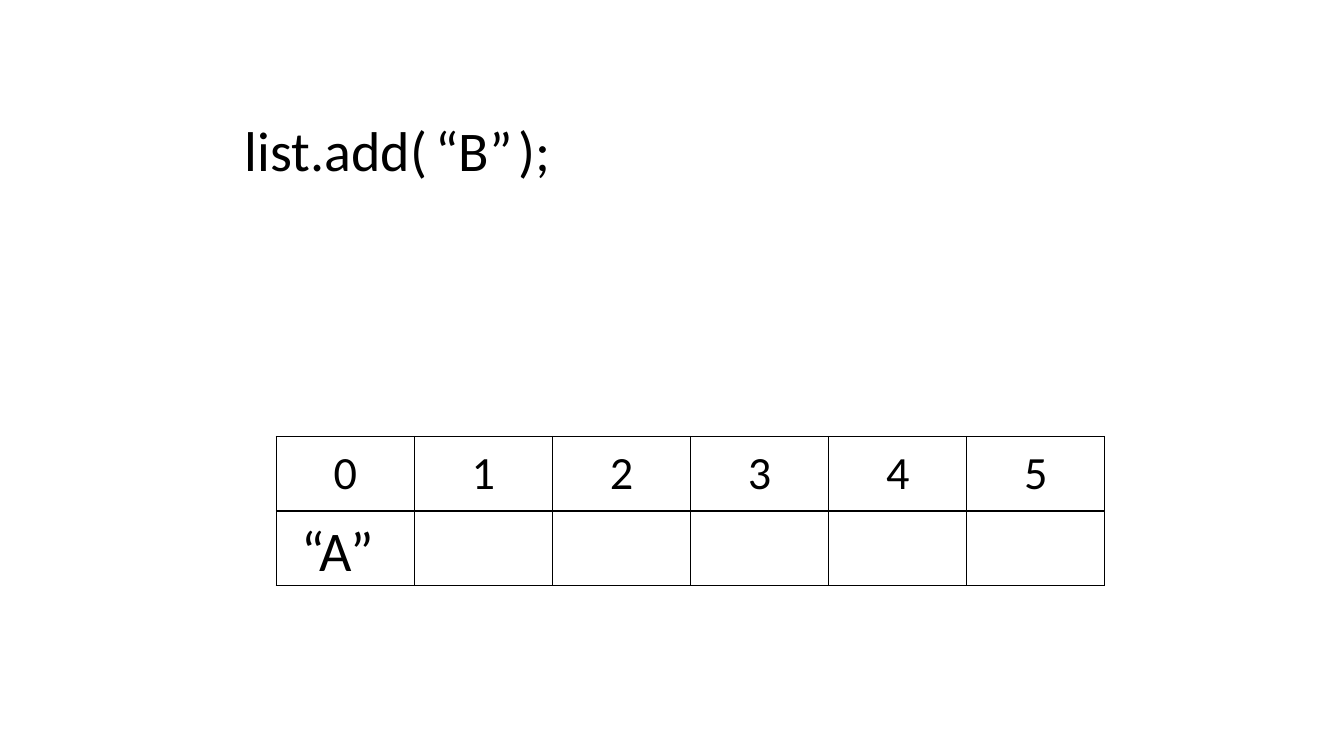
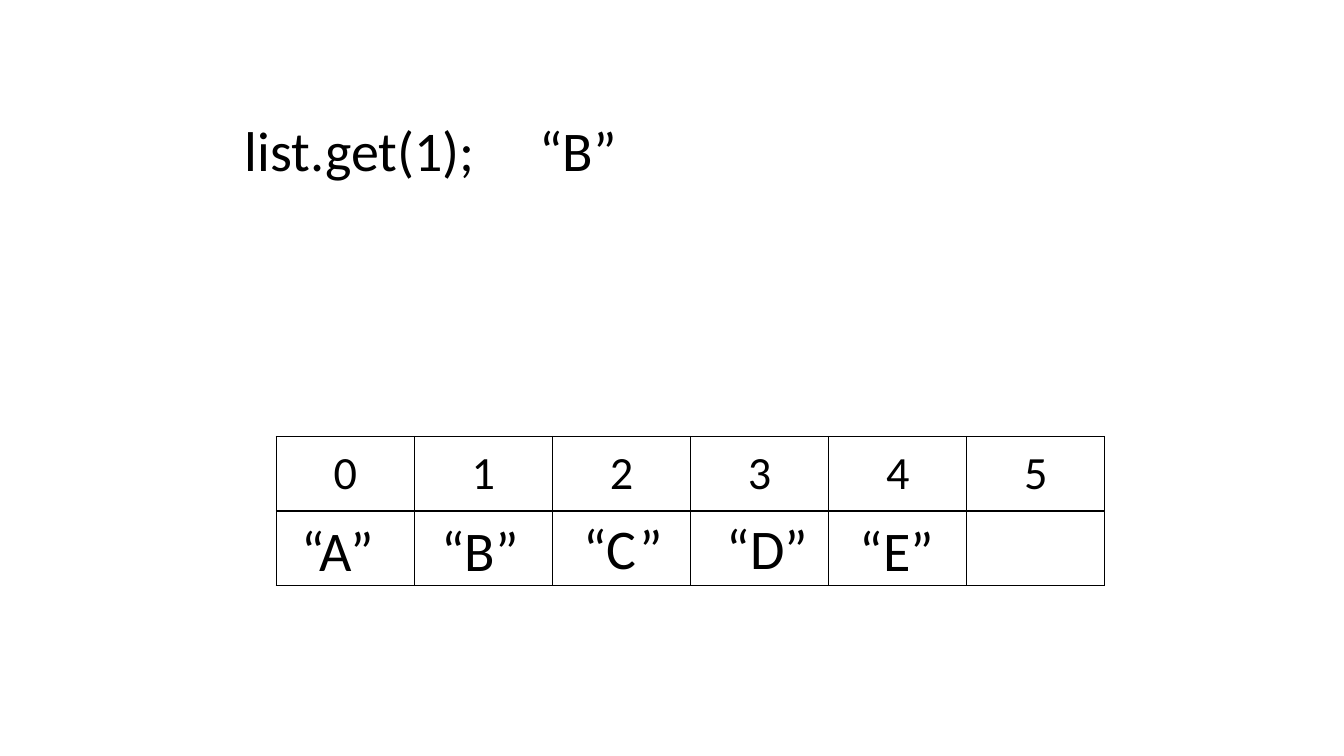
"""Two slides that show list calls above an indexed table of six slots."""
from pptx import Presentation
from pptx.dml.color import RGBColor
from pptx.enum.text import MSO_ANCHOR as Anchor, MSO_AUTO_SIZE as Fit, PP_ALIGN as Align
from pptx.oxml import parse_xml
from pptx.oxml.ns import nsdecls
from pptx.util import Inches, Pt

INK = RGBColor(0, 0, 0)
FONT = "Calibri"
COLS, COL, ROW = 6, 1.37, 0.74
LEFT, TOP = 2.74, 4.33
HIGH = 0.77

PAGES = [
    ("list.add(\t“B”\t);", (1.89, 2.71), [("“A”", 0.15, 0, 0.93)]),
    ("list.get(1);\t“B”", (2.92,), [
        ("“A”", 0.15, 0, 0.93),
        ("“B”", 0.17, 0, 0.98),
        ("“C”", 0.21, -0.02, 1),
        ("“D”", 0.26, -0.02, 1.02),
        ("“E”", 0.21, 0, 0.95),
    ]),
]


def put(frame, text, size=40, align=Align.LEFT, tabs=()):
    frame.text = text
    line = frame.paragraphs[0]
    line.alignment = align
    font = line.runs[0].font
    font.name, font.size, font.color.rgb = FONT, Pt(size), INK
    if tabs:
        stops = "".join(f'<a:tab pos="{Inches(x)}" algn="l"/>' for x in tabs)
        line._p.get_or_add_pPr().append(
            parse_xml(f'<a:tabLst {nsdecls("a")}>{stops}</a:tabLst>'))


def edge(cell):
    for side in "LRTB":
        cell._tc.get_or_add_tcPr().append(parse_xml(
            f'<a:ln{side} {nsdecls("a")} w="{Pt(1)}"><a:solidFill>'
            f'<a:srgbClr val="{INK}"/></a:solidFill></a:ln{side}>'))
    cell.fill.background()


deck = Presentation()
deck.slide_width, deck.slide_height = Inches(13.33), Inches(7.5)

for call, tabs, items in PAGES:
    slide = deck.slides.add_slide(deck.slide_layouts[5])
    title = slide.shapes.title
    title.left, title.top = Inches(2.33), Inches(1.1)
    title.width, title.height = Inches(4.5), Inches(HIGH)
    frame = title.text_frame
    frame.auto_size, frame.vertical_anchor = Fit.NONE, Anchor.TOP
    put(frame, call, tabs=tabs)

    table = slide.shapes.add_table(
        2, COLS, Inches(LEFT), Inches(TOP), Inches(COLS * COL), Inches(2 * ROW)).table
    table.first_row = table.horz_banding = False
    for cell in table.iter_cells():
        edge(cell)
    for i in range(COLS):
        cell = table.cell(0, i)
        cell.margin_left = cell.margin_right = Inches(0.18)
        cell.margin_top = cell.margin_bottom = Inches(0.09)
        put(cell.text_frame, str(i), size=33, align=Align.CENTER)

    for i, (text, dx, dy, wide) in enumerate(items):
        box = slide.shapes.add_textbox(
            Inches(LEFT + i * COL + dx), Inches(TOP + ROW + dy), Inches(wide), Inches(HIGH))
        box.text_frame.word_wrap = False
        box.text_frame.auto_size = Fit.SHAPE_TO_FIT_TEXT
        put(box.text_frame, text)

deck.save("out.pptx")
